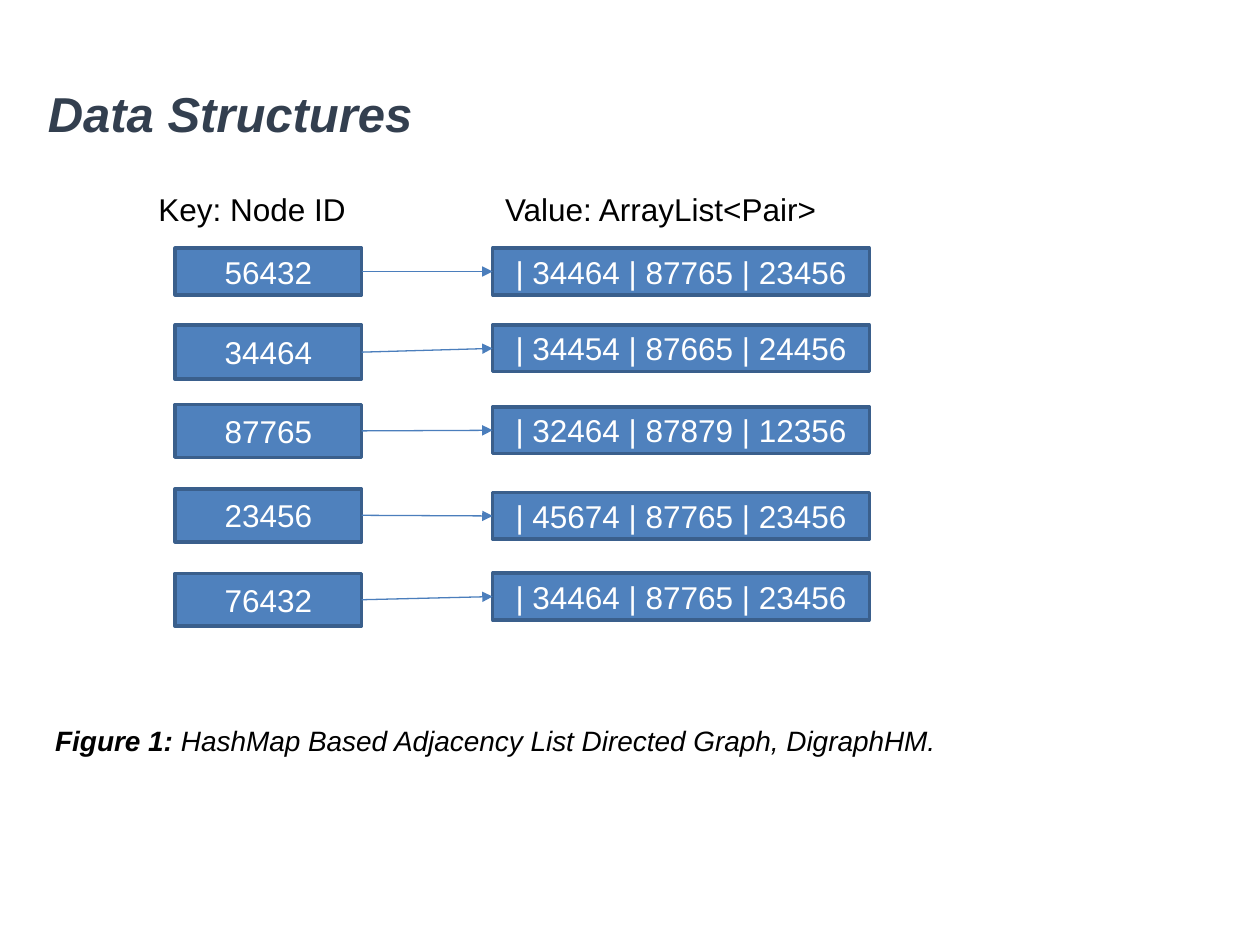
from lxml import etree
from pptx import Presentation
from pptx.dml.color import RGBColor
from pptx.enum.shapes import MSO_CONNECTOR, MSO_SHAPE
from pptx.enum.text import MSO_ANCHOR, MSO_AUTO_SIZE, PP_ALIGN
from pptx.oxml.ns import qn
from pptx.util import Inches, Pt

LEFT, CENTER, JUSTIFY = PP_ALIGN.LEFT, PP_ALIGN.CENTER, PP_ALIGN.JUSTIFY
TOP, MIDDLE = MSO_ANCHOR.TOP, MSO_ANCHOR.MIDDLE
NO_FIT, GROW = MSO_AUTO_SIZE.NONE, MSO_AUTO_SIZE.SHAPE_TO_FIT_TEXT
RECTANGLE, STRAIGHT = MSO_SHAPE.RECTANGLE, MSO_CONNECTOR.STRAIGHT
RIGHT_SITE, LEFT_SITE = 3, 1

COLORS = {
    "title": "333F4F",
    "text": "000000",
    "box": "4F81BD",
    "border": "3A5F8C",
    "arrow": "4B7EBC",
    "box_text": "FFFFFF",
}
KEY_LEFT, KEY_WIDTH = 1.39, 1.48
VALUE_LEFT, VALUE_WIDTH, VALUE_HEIGHT = 3.91, 2.99, 0.37
HEADING_TOP, HEADING_HEIGHT = 1.46, 0.4

# key, key top, key height, adjacent nodes, value top
ENTRIES = [
    ("56432", 1.97, 0.37, ("34464", "87765", "23456"), 1.97),
    ("34464", 2.58, 0.43, ("34454", "87665", "24456"), 2.58),
    ("87765", 3.21, 0.42, ("32464", "87879", "12356"), 3.23),
    ("23456", 3.88, 0.42, ("45674", "87765", "23456"), 3.91),
    ("76432", 4.55, 0.42, ("34464", "87765", "23456"), 4.55),
]


def color(name):
    """Return the named colour of the slide."""
    return RGBColor.from_string(COLORS[name])


def write(frame, text, size=18, ink="text", bold=False, italic=False,
          align=LEFT, anchor=TOP, wrap=True, fit=NO_FIT):
    """Add a formatted run to the first paragraph and return the paragraph."""
    frame.auto_size = fit
    frame.word_wrap = wrap
    frame.vertical_anchor = anchor
    paragraph = frame.paragraphs[0]
    paragraph.alignment = align
    run = paragraph.add_run()
    run.text = text
    run.font.name = "Arial"
    run.font.size = Pt(size)
    run.font.bold = bold
    run.font.italic = italic
    run.font.color.rgb = color(ink)
    return paragraph


def add_title(slide, text):
    """Place and fill the title placeholder."""
    title = slide.shapes.title
    title.left, title.top = Inches(0.28), Inches(0.59)
    title.width, title.height = Inches(8.62), Inches(0.67)
    paragraph = write(title.text_frame, text, size=28, ink="title",
                      bold=True, italic=True, anchor=MIDDLE)
    paragraph.line_spacing = 0.9


def add_label(slide, left, top, width, height):
    """Add an empty text box and return its text frame."""
    return slide.shapes.add_textbox(
        Inches(left), Inches(top), Inches(width), Inches(height)).text_frame


def add_box(slide, text, left, top, width, height):
    """Add a bordered rectangle with centred text."""
    box = slide.shapes.add_shape(
        RECTANGLE, Inches(left), Inches(top), Inches(width), Inches(height))
    box.shadow.inherit = False
    box.fill.solid()
    box.fill.fore_color.rgb = color("box")
    box.line.color.rgb = color("border")
    box.line.width = Pt(2)
    write(box.text_frame, text, ink="box_text", align=CENTER, anchor=MIDDLE)
    return box


def add_arrow(slide, key_box, value_box):
    """Connect a key to its value with an arrow."""
    arrow = slide.shapes.add_connector(STRAIGHT, 0, 0, 0, 0)
    arrow.begin_connect(key_box, RIGHT_SITE)
    arrow.end_connect(value_box, LEFT_SITE)
    arrow.line.color.rgb = color("arrow")
    arrow.line.width = Pt(0.75)
    etree.SubElement(arrow.line._get_or_add_ln(), qn("a:tailEnd"), type="triangle")
    etree.SubElement(arrow._element.spPr, qn("a:effectLst"))


def main():
    """Build the slide and save it."""
    deck = Presentation()
    deck.slide_width, deck.slide_height = Inches(10), Inches(7.5)
    slide = deck.slides.add_slide(deck.slide_layouts[5])
    add_title(slide, "Data Structures")

    for heading, left, width in (("Key: Node ID", 1.16, 1.7),
                                 ("Value: ArrayList<Pair>", VALUE_LEFT, 2.69)):
        frame = add_label(slide, left, HEADING_TOP, width, HEADING_HEIGHT)
        write(frame, heading, wrap=False, fit=GROW)

    for key, key_top, key_height, nodes, value_top in ENTRIES:
        key_box = add_box(slide, key, KEY_LEFT, key_top, KEY_WIDTH, key_height)
        value_box = add_box(slide, "| " + " | ".join(nodes), VALUE_LEFT,
                            value_top, VALUE_WIDTH, VALUE_HEIGHT)
        add_arrow(slide, key_box, value_box)

    caption = add_label(slide, 0.34, 5.69, 8.56, 0.54)
    write(caption, "Figure 1: ", size=16, bold=True, italic=True, align=JUSTIFY)
    write(caption, "HashMap Based Adjacency List Directed Graph, DigraphHM.",
          size=16, italic=True, align=JUSTIFY)
    deck.save("out.pptx")


if __name__ == "__main__":
    main()
